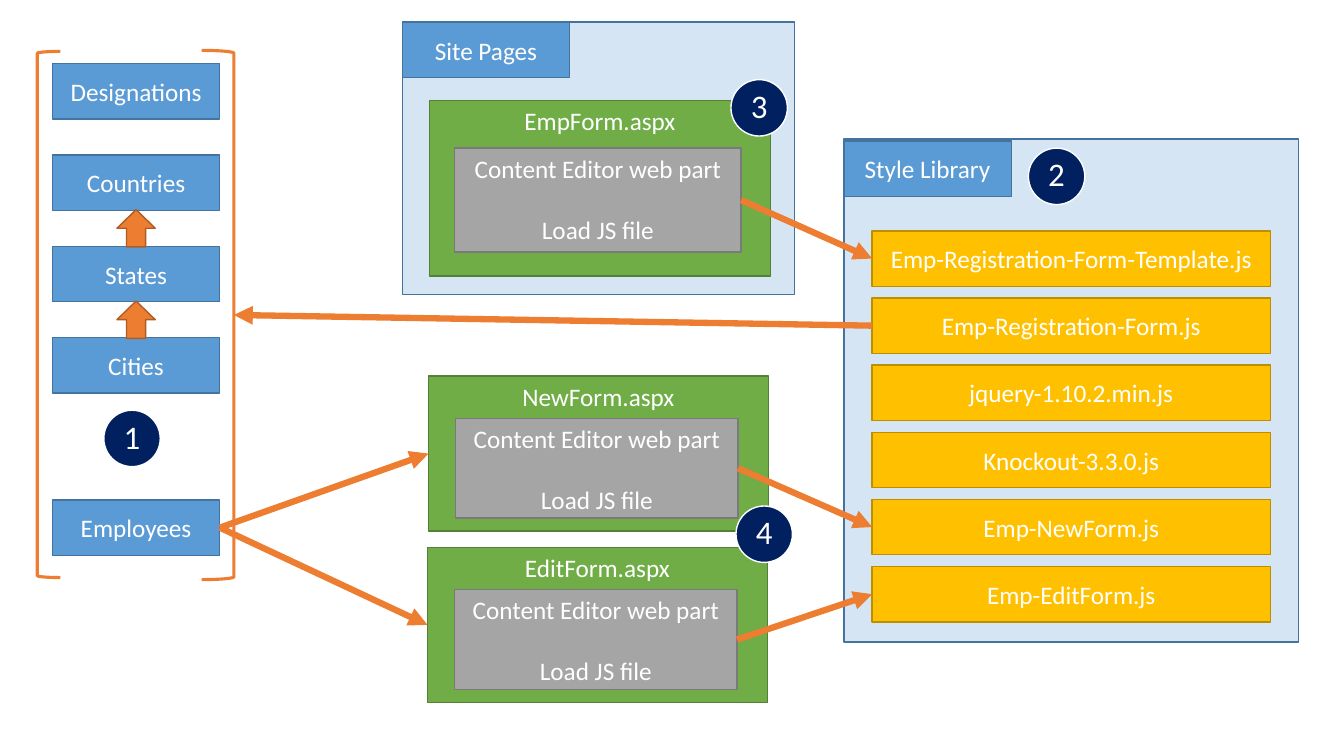
import dataclasses
import typing

import lxml.etree
import pptx
import pptx.dml.color
import pptx.enum.shapes
import pptx.enum.text
import pptx.oxml.ns
import pptx.util

Inches = pptx.util.Inches
Kind = pptx.enum.shapes.MSO_SHAPE
Anchor = pptx.enum.text.MSO_ANCHOR


@dataclasses.dataclass(frozen=True)
class Theme:
    """Colours, type and line sizes."""
    font: str = "Calibri"
    white: str = "FFFFFF"
    blue: tuple = ("5B9BD5", "43739E")
    green: tuple = ("70AD47", "538035")
    grey: tuple = ("A5A5A5", "7A7A7A")
    gold: tuple = ("FFC000", "BD8E00")
    rust: tuple = ("ED7D31", "AF5C24")
    navy: tuple = ("002060", "FFFFFF")
    body: float = 18
    digit: float = 23.5
    thin: float = 1
    brace: float = 2.25
    thick: float = 4.5


class Box(typing.NamedTuple):
    """A frame in inches."""
    left: float
    top: float
    wide: float
    high: float

    @property
    def west(self) -> tuple:
        """Middle of the left edge."""
        return self.left, self.top + self.high / 2

    @property
    def east(self) -> tuple:
        """Middle of the right edge."""
        return self.left + self.wide, self.top + self.high / 2


class Form(typing.NamedTuple):
    """A form page with its inner web editor."""
    name: str
    page: Box
    inner: Box


class Badge(typing.NamedTuple):
    """A numbered step."""
    text: str
    left: float
    top: float


THEME = Theme()
TAB = (1.66, 0.55)
FORMS = [
    Form("EmpForm.aspx", Box(4.26, 1, 3.38, 1.74), Box(4.51, 1.47, 2.84, 1.03)),
    Form("NewForm.aspx", Box(4.25, 3.73, 3.37, 1.54), Box(4.52, 4.15, 2.8, 0.99)),
    Form("EditForm.aspx", Box(4.24, 5.43, 3.37, 1.54), Box(4.51, 5.85, 2.8, 0.99)),
]
FILES = ["Emp-Registration-Form-Template.js", "Emp-Registration-Form.js",
         "jquery-1.10.2.min.js", "Knockout-3.3.0.js",
         "Emp-NewForm.js", "Emp-EditForm.js"]
BADGES = [Badge("2", 10.2, 1.47), Badge("1", 1.03, 4.07),
          Badge("3", 7.25, 0.79), Badge("4", 7.3, 5.02)]

deck = pptx.Presentation()
deck.slide_width, deck.slide_height = Inches(13.33), Inches(7.5)
slide = deck.slides.add_slide(deck.slide_layouts[6])


def tint(code: str) -> pptx.dml.color.RGBColor:
    """Turn a hex code into a colour."""
    return pptx.dml.color.RGBColor.from_string(code)


def apply(thing: typing.Any, look: dict) -> None:
    """Set each format value on an object."""
    for name, value in look.items():
        setattr(thing, name, value)


def write(shape: typing.Any, lines: list, size: float, frame: dict, para: dict) -> None:
    """Fill a shape with centred white lines, one line apart."""
    apply(shape.text_frame, frame)
    for i, text in enumerate(lines):
        row = shape.text_frame.paragraphs[0] if i == 0 else shape.text_frame.add_paragraph()
        row.text = text
        apply(row, {"alignment": pptx.enum.text.PP_ALIGN.CENTER, **para})
        if i:
            row.space_before = pptx.util.Pt(size * 1.22)
        apply(row.font, {"name": THEME.font, "size": pptx.util.Pt(size)})
        row.font.color.rgb = tint(THEME.white)


def draw(kind: typing.Any, box: Box, hue: tuple, width: float = THEME.thin) -> typing.Any:
    """Add a shape; hue holds the fill (or None) and line colours."""
    shape = slide.shapes.add_shape(kind, *map(Inches, box))
    shape.shadow.inherit = False
    fill, edge = hue
    if fill:
        shape.fill.solid()
        shape.fill.fore_color.rgb = tint(fill)
    else:
        shape.fill.background()
    shape.line.color.rgb = tint(edge)
    shape.line.width = pptx.util.Pt(width)
    return shape


def label(box: Box, hue: tuple, *lines: str, anchor: typing.Any = Anchor.MIDDLE) -> Box:
    """Add a rectangle with text and return its frame."""
    shape = draw(Kind.RECTANGLE, box, hue)
    write(shape, list(lines), THEME.body, {"word_wrap": True, "vertical_anchor": anchor}, {})
    return box


def panel(box: Box, title: str, top: float) -> None:
    """Add a pale panel with a title tab."""
    shape = draw(Kind.RECTANGLE, box, THEME.blue)
    hue = shape._element.spPr.find(pptx.oxml.ns.qn("a:solidFill"))[0]
    lxml.etree.SubElement(hue, pptx.oxml.ns.qn("a:alpha"), val="25000")
    label(Box(box.left, top, *TAB), THEME.blue, title)


def show(form: Form) -> None:
    """Add a form page and its inner editor."""
    label(form.page, THEME.green, form.name, anchor=Anchor.TOP)
    label(form.inner, THEME.grey, "Content Editor web part", "Load JS file", anchor=Anchor.TOP)


def link(start: tuple, end: tuple) -> None:
    """Add a thick arrow between two points."""
    line = slide.shapes.add_connector(pptx.enum.shapes.MSO_CONNECTOR.STRAIGHT,
                                      *map(Inches, start + end))
    line.line.color.rgb = tint(THEME.rust[0])
    line.line.width = pptx.util.Pt(THEME.thick)
    props = line._element.spPr
    edge = props.find(pptx.oxml.ns.qn("a:ln"))
    lxml.etree.SubElement(edge, pptx.oxml.ns.qn("a:tailEnd"), type="triangle")
    lxml.etree.SubElement(props, pptx.oxml.ns.qn("a:effectLst"))


def mark(badge: Badge) -> None:
    """Add a numbered disc."""
    disc = draw(Kind.OVAL, Box(badge.left, badge.top, 0.56, 0.56), THEME.navy)
    frame = {"margin_" + side: 0 for side in ("left", "top", "right", "bottom")}
    frame |= {"word_wrap": False, "vertical_anchor": Anchor.MIDDLE}
    write(disc, [badge.text], THEME.digit, frame, {"line_spacing": 0.9})


# Lists on the left
staff = label(Box(0.52, 4.96, *TAB), THEME.blue, "Employees")
pitch = (3.35 - 0.63) / 3
for i, name in enumerate(["Designations", "Countries", "States", "Cities"]):
    label(Box(0.52, 0.63 + pitch * i, *TAB), THEME.blue, name)
for i in range(2):
    draw(Kind.UP_ARROW, Box(1.16, 2.08 + pitch * i, 0.38, 0.37), THEME.rust)

# Library and its files
panel(Box(8.37, 1.38, 4.51, 4.99), "Style Library", 1.4)
step = (5.62 - 2.29) / (len(FILES) - 1)
files = {name: label(Box(8.65, 2.29 + step * i, 3.95, 0.55), THEME.gold, name)
         for i, name in enumerate(FILES)}

# Pages and their forms
panel(Box(3.99, 0.22, 3.89, 2.7), "Site Pages", 0.22)
for form in FORMS:
    show(form)

# Links and brackets
for form, name in zip(FORMS, [FILES[0], *FILES[4:]]):
    link(form.inner.east, files[name].west)
for form in FORMS[1:]:
    link(staff.east, form.page.west)
brace = Box(2, 0.5, 0.32, 5.25)
draw(Kind.RIGHT_BRACKET, brace, (None, THEME.rust[0]), THEME.brace)
link(files[FILES[1]].west, brace.east)
draw(Kind.LEFT_BRACKET, Box(0.37, 0.51, 0.23, 5.22), (None, THEME.rust[0]), THEME.brace)

for badge in BADGES:
    mark(badge)

deck.save("out.pptx")
